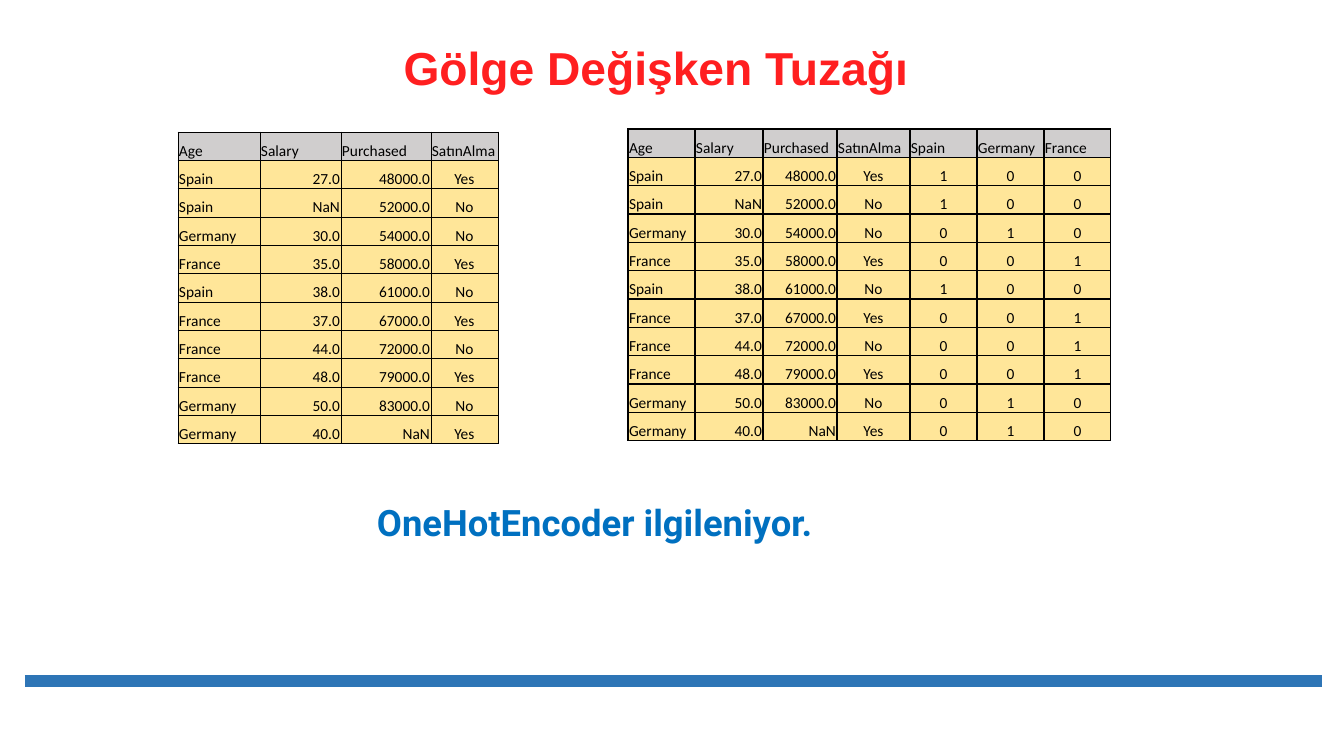
"""Build the slide on the dummy variable trap."""
import lxml.etree
import pptx
import pptx.dml.color
import pptx.enum.shapes
import pptx.enum.text
import pptx.oxml.ns
import pptx.util

EMU_PER_PX = 914400 / 100.8
COLORS = {
    "title": "FF1F20",
    "message": "0070C0",
    "rule": "2E75B6",
    "header": "D0CECE",
    "body": "FFE699",
    "ink": "000000",
}
ALIGN = pptx.enum.text.PP_ALIGN
ANCHOR = pptx.enum.text.MSO_ANCHOR
COUNTRIES = ["Spain", "Germany", "France"]
HEADERS = ["Age", "Salary", "Purchased", "SatınAlma"]
CUSTOMERS = [
    ["Spain", "27.0", "48000.0", "Yes"],
    ["Spain", "NaN", "52000.0", "No"],
    ["Germany", "30.0", "54000.0", "No"],
    ["France", "35.0", "58000.0", "Yes"],
    ["Spain", "38.0", "61000.0", "No"],
    ["France", "37.0", "67000.0", "Yes"],
    ["France", "44.0", "72000.0", "No"],
    ["France", "48.0", "79000.0", "Yes"],
    ["Germany", "50.0", "83000.0", "No"],
    ["Germany", "40.0", "NaN", "Yes"],
]


def px(length):
    return pptx.util.Emu(round(length * EMU_PER_PX))


def rgb(name):
    return pptx.dml.color.RGBColor.from_string(COLORS[name])


def write(frame, text, *, font, size, color, bold=False, align=ALIGN.LEFT, spacing=None):
    para = frame.paragraphs[0]
    para.alignment = align
    para.line_spacing = spacing
    span = para.add_run()
    span.text = text
    span.font.name = font
    span.font.size = pptx.util.Pt(size)
    span.font.bold = bold
    span.font.color.rgb = rgb(color)


def add_title(page, text, left, top, width, height):
    title = page.shapes.title
    title.left, title.top = px(left), px(top)
    title.width, title.height = px(width), px(height)
    title.text_frame.auto_size = pptx.enum.text.MSO_AUTO_SIZE.NONE
    title.text_frame.vertical_anchor = ANCHOR.BOTTOM
    write(title.text_frame, text, font="Arial", size=33, color="title",
          bold=True, align=ALIGN.CENTER, spacing=0.7)


def add_message(page, text, left, top, width, height):
    box = page.shapes.add_textbox(px(left), px(top), px(width), px(height))
    box.text_frame.word_wrap = True
    write(box.text_frame, text, font="Roboto", size=26, color="message", bold=True)


def add_rule(page, left, right, y, weight):
    rule = page.shapes.add_connector(
        pptx.enum.shapes.MSO_CONNECTOR.STRAIGHT, px(left), px(y), px(right), px(y))
    rule.line.color.rgb = rgb("rule")
    rule.line.width = pptx.util.Pt(weight)
    properties = rule._element.spPr
    lxml.etree.SubElement(properties, pptx.oxml.ns.qn("a:effectLst"))


def add_borders(cell, weight):
    qn = pptx.oxml.ns.qn
    properties = cell._tc.get_or_add_tcPr()
    for side in ("lnL", "lnR", "lnT", "lnB"):
        border = lxml.etree.SubElement(
            properties, qn(f"a:{side}"), w=str(pptx.util.Pt(weight)))
        fill = lxml.etree.SubElement(border, qn("a:solidFill"))
        lxml.etree.SubElement(fill, qn("a:srgbClr"), val=COLORS["ink"])


def format_cell(cell, text, fill, align, border):
    cell.margin_left = cell.margin_right = cell.margin_top = px(1)
    cell.margin_bottom = 0
    cell.vertical_anchor = ANCHOR.BOTTOM
    add_borders(cell, border)
    cell.fill.solid()
    cell.fill.fore_color.rgb = rgb(fill)
    write(cell.text_frame, text, font="Calibri", size=11, color="ink", align=align)


def add_data_table(page, rows, left, top, widths, height, border):
    frame = page.shapes.add_table(
        len(rows), len(widths), px(left), px(top), px(sum(widths)), px(height))
    table = frame.table
    table.first_row = table.horz_banding = False
    for column, width in zip(table.columns, widths):
        column.width = px(width)
    for row in table.rows:
        row.height = px(height / len(rows))
    body_aligns = [ALIGN.LEFT, ALIGN.RIGHT, ALIGN.RIGHT] + [ALIGN.CENTER] * (len(widths) - 3)
    for row_index, values in enumerate(rows):
        fill = "body" if row_index else "header"
        for column_index, value in enumerate(values):
            align = body_aligns[column_index] if row_index else ALIGN.LEFT
            format_cell(table.cell(row_index, column_index), value, fill, align, border)


def one_hot(customer):
    return customer + [str(int(customer[0] == country)) for country in COUNTRIES]


def main():
    deck = pptx.Presentation()
    deck.slide_width, deck.slide_height = px(1344), px(756)
    page = deck.slides.add_slide(deck.slide_layouts.get_by_name("Title Only"))
    add_rule(page, 25, 1322, 681, 8)
    add_title(page, "Gölge Değişken Tuzağı", 152, 23, 1008, 75)
    encoded = [HEADERS + COUNTRIES] + [one_hot(customer) for customer in CUSTOMERS]
    add_data_table(page, encoded, 628, 129, [67, 68, 74, 73, 67, 67, 67], 312, 1)
    add_data_table(page, [HEADERS] + CUSTOMERS, 178, 132, [82, 81, 90, 67], 312, 0.5)
    add_message(page, "OneHotEncoder ilgileniyor.", 367, 495, 503, 54)
    deck.save("out.pptx")


if __name__ == "__main__":
    main()
